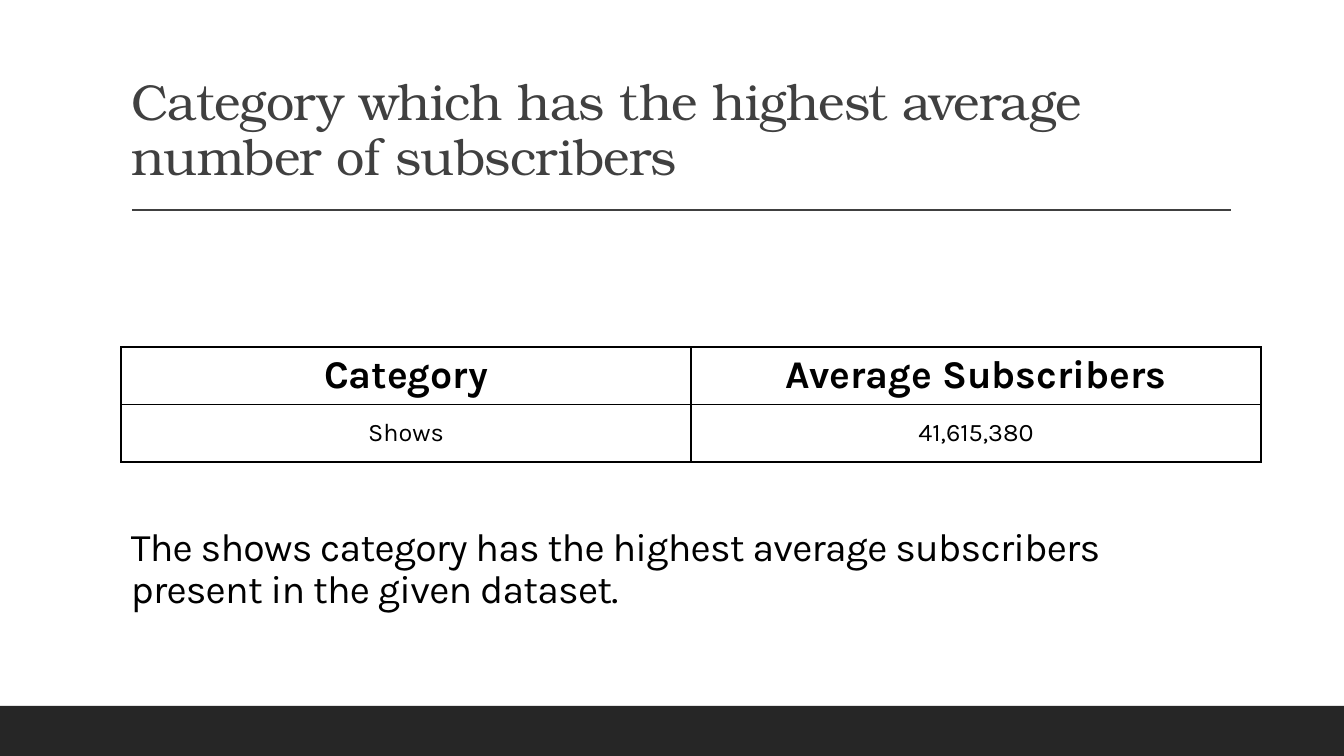
"""Build the slide on the category with the highest average number of subscribers."""
from lxml import etree
from pptx import Presentation
from pptx import util as u
from pptx.dml.color import RGBColor
from pptx.enum import shapes, text
from pptx.oxml.ns import qn

HEADING = "Category which has the highest average number of subscribers"
FINDING = "The shows category has the highest average subscribers present in the given dataset."
ROWS = [("Category", "Average Subscribers"), ("Shows", "41,615,380")]
ROW_STYLES = [(28, True), (18, False)]
SERIF, SANS = "TeX Gyre Bonum", "Karla"
BLACK, GREY, DARK = "000000", "404040", "262626"

SLIDE = (1344, 756)
FOOTER_BOX = (0, 706, 1344, 50)
RULE = (132, 210, 1231, 210)
HEADING_BOX = (121, 31, 1109, 160)
TABLE_BOX = (121, 347, 1140, 115)
FINDING_BOX = (121, 520, 1109, 97)


def px(*lengths):
    return [u.Emu(round(length * 914400 / 100.8)) for length in lengths]


def colour(value):
    return RGBColor.from_string(value)


def style(paragraph, font, size, value, bold=False):
    for run in paragraph.runs:
        run.font.name, run.font.size, run.font.bold = font, u.Pt(size), bold
        run.font.color.rgb = colour(value)


def write_block(shape, words, font, size, value):
    frame = shape.text_frame
    frame.text = words
    frame.word_wrap = True
    frame.auto_size = text.MSO_AUTO_SIZE.NONE
    frame.vertical_anchor = text.MSO_ANCHOR.BOTTOM
    paragraph = frame.paragraphs[0]
    paragraph.alignment = text.PP_ALIGN.LEFT
    paragraph.line_spacing = 0.9
    style(paragraph, font, size, value)
    for run in paragraph.runs:
        run.font._element.set("spc", "-50")


def border(cell):
    properties = cell._tc.get_or_add_tcPr()
    for position, side in enumerate(("a:lnL", "a:lnR", "a:lnT", "a:lnB")):
        edge = etree.Element(qn(side), w=str(u.Pt(1)))
        fill = etree.SubElement(edge, qn("a:solidFill"))
        etree.SubElement(fill, qn("a:srgbClr"), val=BLACK)
        properties.insert(position, edge)


def add_table(slide):
    left, top, width, height = px(*TABLE_BOX)
    averages = slide.shapes.add_table(len(ROWS), len(ROWS[0]), left, top, width, height).table
    for r, (row, (size, bold)) in enumerate(zip(ROWS, ROW_STYLES)):
        for c, words in enumerate(row):
            cell = averages.cell(r, c)
            cell.text = words
            cell.fill.background()
            cell.vertical_anchor = text.MSO_ANCHOR.MIDDLE
            cell.text_frame.paragraphs[0].alignment = text.PP_ALIGN.CENTER
            style(cell.text_frame.paragraphs[0], SANS, size, BLACK, bold)
            border(cell)


def main():
    deck = Presentation()
    deck.slide_width, deck.slide_height = px(*SLIDE)
    slide = deck.slides.add_slide(deck.slide_layouts[5])

    footer = slide.shapes.add_shape(shapes.MSO_SHAPE.RECTANGLE, *px(*FOOTER_BOX))
    footer.shadow.inherit = False
    footer.fill.solid()
    footer.fill.fore_color.rgb = colour(DARK)
    footer.line.fill.background()

    rule = slide.shapes.add_connector(shapes.MSO_CONNECTOR.STRAIGHT, *px(*RULE))
    rule.line.color.rgb = colour(GREY)
    rule.line.width = u.Pt(1)
    etree.SubElement(rule._element.spPr, qn("a:effectLst"))

    heading = slide.shapes.title
    heading.left, heading.top, heading.width, heading.height = px(*HEADING_BOX)
    write_block(heading, HEADING, SERIF, 36, GREY)

    add_table(slide)

    finding = slide.shapes.add_textbox(*px(*FINDING_BOX))
    write_block(finding, FINDING, SANS, 28, BLACK)
    deck.save("out.pptx")


if __name__ == "__main__":
    main()
